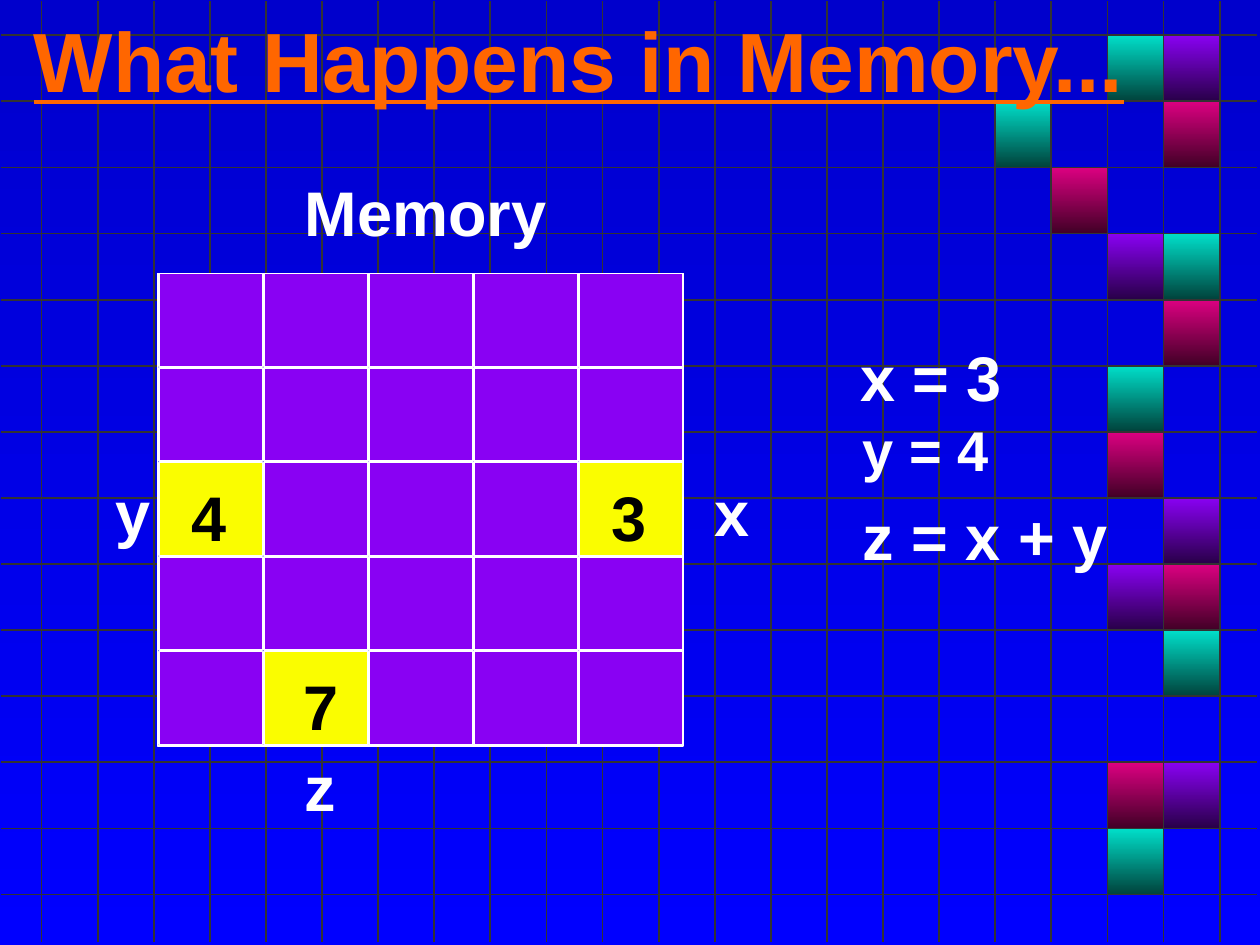
import dataclasses

import pptx
import pptx.dml.color
import pptx.enum.shapes
import pptx.enum.text
import pptx.oxml
import pptx.oxml.ns
import pptx.util


@dataclasses.dataclass(frozen=True)
class Theme:
    font: str = "Arial"
    title_size: int = 48
    label_size: int = 36
    small_size: int = 32
    line_width: int = 1
    background: tuple = ("0000CC", "0000FF")
    teal: tuple = ("00DFCA", "00423B")
    violet: tuple = ("8901F3", "280048")
    pink: tuple = ("DC0081", "410026")
    mesh: str = "333333"
    title: str = "FF6600"
    label: str = "FFFFFF"
    number: str = "000000"
    cell: str = "8901F3"
    used_cell: str = "FAFD00"


THEME = Theme()
WIDTH, HEIGHT = 10, 7.5
LABEL_HEIGHT = 0.7

# Tiles of the backdrop mesh as (column, row)
TILES = {
    THEME.teal: [(19, 0), (17, 1), (20, 3), (19, 5), (20, 9), (19, 12)],
    THEME.violet: [(20, 0), (19, 3), (20, 7), (19, 8), (20, 11)],
    THEME.pink: [(20, 1), (18, 2), (20, 4), (19, 6), (20, 8), (19, 11)],
}
# Value and its inset in each used memory cell, by (column, row)
VALUES = {(4, 2): ("3", 0.17), (0, 2): ("4", 0.17), (1, 4): ("7", 0.23)}


def color(value):
    return pptx.dml.color.RGBColor.from_string(value)


def inches(*lengths):
    return [pptx.util.Inches(length) for length in lengths]


def apply_format(target, values):
    for name, value in values.items():
        setattr(target, name, value)


def fill_gradient(fill, colors):
    """Fade from the first colour at the top to the second at the bottom."""
    fill.gradient()
    fill.gradient_angle = 270
    for stop, value in zip(fill.gradient_stops, colors):
        stop.color.rgb = color(value)


def draw_line(line, value):
    line.color.rgb = color(value)
    line.width = pptx.util.Pt(THEME.line_width)


def add_rectangle(slide, box, line_color):
    shape = slide.shapes.add_shape(
        pptx.enum.shapes.MSO_SHAPE.RECTANGLE, *inches(*box))
    shape.shadow.inherit = False
    shape.fill.background()
    draw_line(shape.line, line_color)
    return shape


def add_mesh_line(slide, start, end):
    connector = slide.shapes.add_connector(
        pptx.enum.shapes.MSO_CONNECTOR.STRAIGHT, *inches(*start, *end))
    draw_line(connector.line, THEME.mesh)
    properties = connector._element.find(pptx.oxml.ns.qn("p:spPr"))
    properties.append(pptx.oxml.parse_xml(
        f"<a:effectLst {pptx.oxml.ns.nsdecls('a')}/>"))


def add_label(slide, text, box, size=THEME.label_size, text_color=THEME.label,
              underline=None, anchor=pptx.enum.text.MSO_ANCHOR.TOP):
    shape = slide.shapes.add_textbox(*inches(*box))
    apply_format(shape.text_frame, {"word_wrap": False,
                                    "vertical_anchor": anchor})
    paragraph = shape.text_frame.paragraphs[0]
    run = paragraph.add_run()
    run.text = text
    apply_format(run.font, {"name": THEME.font, "size": pptx.util.Pt(size),
                            "bold": True, "underline": underline})
    run.font.color.rgb = color(text_color)


def add_backdrop(slide, box, columns=21, rows=13):
    """Draw the mesh whose first and last lines bound the box, and its tiles."""
    left, top, width, height = box
    column, row = width / columns, height / rows
    for index in range(rows + 1):
        y = top + index * row
        add_mesh_line(slide, (0.01, y), (WIDTH - 0.02, y))
    for index in range(columns + 1):
        x = left + index * column
        add_mesh_line(slide, (x, 0.01), (x, HEIGHT - 0.02))
    for colors, places in TILES.items():
        for across, down in places:
            tile = add_rectangle(
                slide, (left + across * column, top + down * row, column, row),
                THEME.mesh)
            fill_gradient(tile.fill, colors)


def add_title(slide, box):
    add_label(slide, "What Happens in Memory...", box, THEME.title_size,
              THEME.title, True, pptx.enum.text.MSO_ANCHOR.MIDDLE)


def add_memory(slide, box, count=5, gap=0.01):
    """Draw the memory cells with their values and the names around them."""
    left, top, width, height = box
    column, row = width / count, height / count
    add_rectangle(slide, box, THEME.label)
    for down in range(count):
        for across in range(count):
            x, y = left + across * column, top + down * row
            value, inset = VALUES.get((across, down), (None, 0))
            cell = add_rectangle(
                slide, (x + gap, y, column - gap, row - gap), THEME.label)
            cell.fill.solid()
            cell.fill.fore_color.rgb = color(
                THEME.used_cell if value else THEME.cell)
            if value:
                add_label(slide, value,
                          (x + inset, y + 0.08, 0.48, LABEL_HEIGHT),
                          text_color=THEME.number)
    names_top = top + 2 * row + 0.04
    add_label(slide, "Memory", (left + 1.07, top - 0.84, 2.2, LABEL_HEIGHT))
    add_label(slide, "x", (left + width + 0.15, names_top, 0.48, LABEL_HEIGHT))
    add_label(slide, "y", (left - 0.43, names_top, 0.48, LABEL_HEIGHT))
    add_label(slide, "z", (left + 1.07, top + height - 0.03, 0.45, LABEL_HEIGHT))


def add_statements(slide, box):
    """Stack the three statements, each box wide enough for one line."""
    left, top, width, height = box
    add_label(slide, "x = 3", (left - 0.02, top, width, height))
    add_label(slide, "y = 4", (left, top + 0.61, width, 0.63), THEME.small_size)
    add_label(slide, "z = x + y", (left, top + 1.26, width, LABEL_HEIGHT))


def main():
    presentation = pptx.Presentation()
    presentation.slide_width, presentation.slide_height = inches(WIDTH, HEIGHT)
    slide = presentation.slides.add_slide(presentation.slide_layouts[6])
    fill_gradient(slide.background.fill, THEME.background)
    add_backdrop(slide, (0.33, 0.28, 9.35, 6.82))
    add_title(slide, (0.17, -0.16, 11.08, 1.26))
    add_memory(slide, (1.25, 2.17, 4.17, 3.75))
    add_statements(slide, (6.75, 2.64, 2.4, 1.3))
    presentation.save("out.pptx")


if __name__ == "__main__":
    main()
